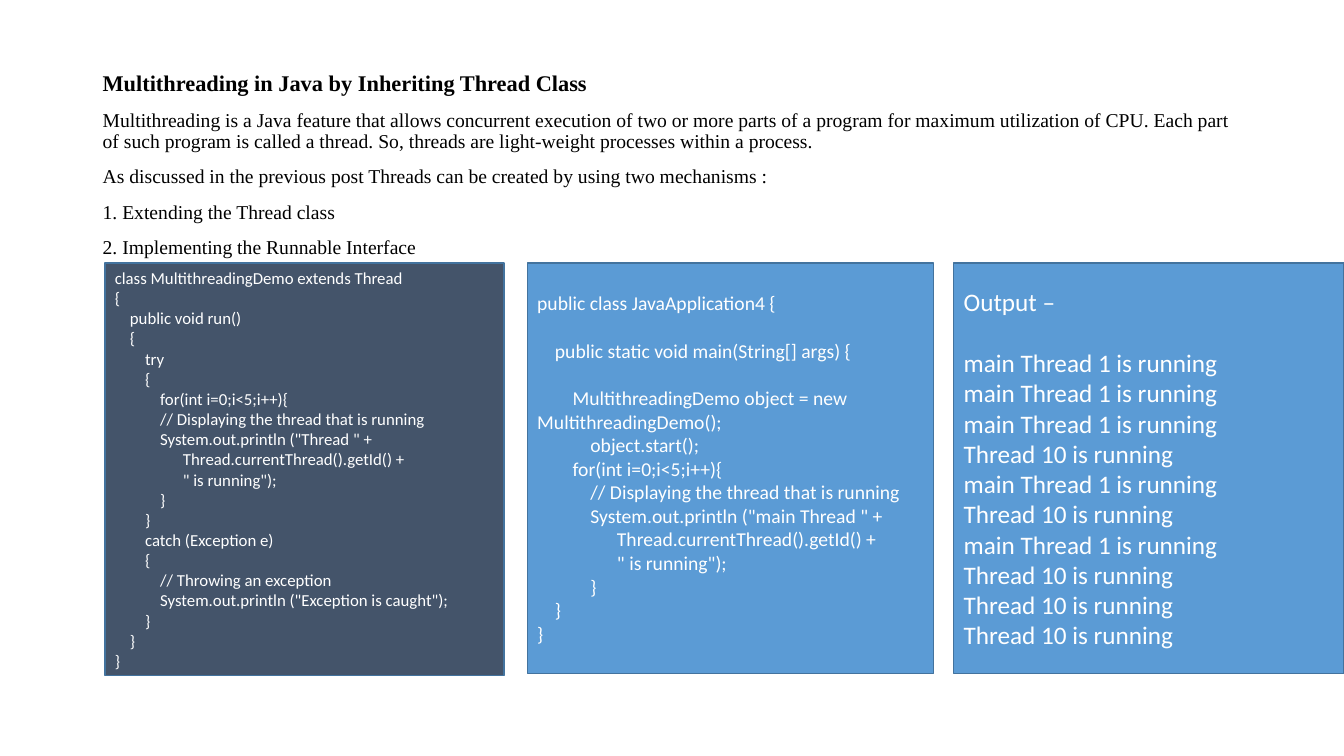
from pptx import Presentation
from pptx.dml.color import RGBColor
from pptx.enum.shapes import MSO_SHAPE as Shape
from pptx.enum.text import MSO_ANCHOR as Anchor, PP_ALIGN as Align
from pptx.util import Inches, Pt


def color(value):
    return RGBColor.from_string(value)


def style(paragraph, font_name, size, font_color, bold=False):
    font = paragraph.font
    font.name, font.size, font.bold = font_name, Pt(size), bold
    font.color.rgb = color(font_color)


presentation = Presentation()
presentation.slide_width = Inches(13.33)
presentation.slide_height = Inches(7.5)
slide = presentation.slides.add_slide(presentation.slide_layouts[6])

# Introduction
introduction = [
    "Multithreading in Java by Inheriting Thread Class",
    "Multithreading is a Java feature that allows concurrent execution of two or more "
    "parts of a program for maximum utilization of CPU. Each part of such program is "
    "called a thread. So, threads are light-weight processes within a process.",
    "As discussed in the previous post Threads can be created by using two mechanisms :",
    "1. Extending the Thread class",
    "2. Implementing the Runnable Interface",
]
text_box = slide.shapes.add_textbox(Inches(0.92), Inches(0.67), Inches(11.5), Inches(1.94))
frame = text_box.text_frame
frame.word_wrap = True
for index, text in enumerate(introduction):
    paragraph = frame.add_paragraph() if index else frame.paragraphs[0]
    paragraph.text = text
    paragraph.line_spacing = 0.9
    paragraph.space_before = Pt(10 if index else 0)
    style(paragraph, "Times New Roman", 14 if index else 16, "000000", bold=index == 0)

# Code and output panels
thread_code = """class MultithreadingDemo extends Thread
{
    public void run()
    {
        try
        {
            for(int i=0;i<5;i++){
            // Displaying the thread that is running
            System.out.println ("Thread " +
                  Thread.currentThread().getId() +
                  " is running");
            }
        }
        catch (Exception e)
        {
            // Throwing an exception
            System.out.println ("Exception is caught");
        }
    }
}"""
main_code = """public class JavaApplication4 {

    public static void main(String[] args) {

        MultithreadingDemo object = new MultithreadingDemo();
            object.start();
        for(int i=0;i<5;i++){
            // Displaying the thread that is running
            System.out.println ("main Thread " +
                  Thread.currentThread().getId() +
                  " is running");
            }
    }
}"""
output = """Output –

main Thread 1 is running
main Thread 1 is running
main Thread 1 is running
Thread 10 is running
main Thread 1 is running
Thread 10 is running
main Thread 1 is running
Thread 10 is running
Thread 10 is running
Thread 10 is running"""

panels = [  # left, width, height, fill, font size, text
    (1.04, 3.96, 4.09, "44546A", 12, thread_code),
    (5.23, 4.03, 4.07, "5B9BD5", 14, main_code),
    (9.46, 3.87, 4.07, "5B9BD5", 18, output),
]
for left, width, height, fill, size, text in panels:
    panel = slide.shapes.add_shape(
        Shape.RECTANGLE, Inches(left), Inches(2.61), Inches(width), Inches(height))
    panel.shadow.inherit = False
    panel.fill.solid()
    panel.fill.fore_color.rgb = color(fill)
    panel.line.color.rgb = color("43739E")
    panel.line.width = Pt(1)
    frame = panel.text_frame
    frame.word_wrap = True
    frame.vertical_anchor = Anchor.MIDDLE

    # An empty line becomes space before the next paragraph
    paragraph, gap = frame.paragraphs[0], 0
    for index, line in enumerate(text.split("\n")):
        if not line:
            gap = 1.22 * size
            continue
        if index:
            paragraph = frame.add_paragraph()
        paragraph.text = line
        paragraph.alignment = Align.LEFT
        paragraph.space_before = Pt(gap)
        style(paragraph, "Calibri", size, "FFFFFF")
        gap = 0

presentation.save("out.pptx")
